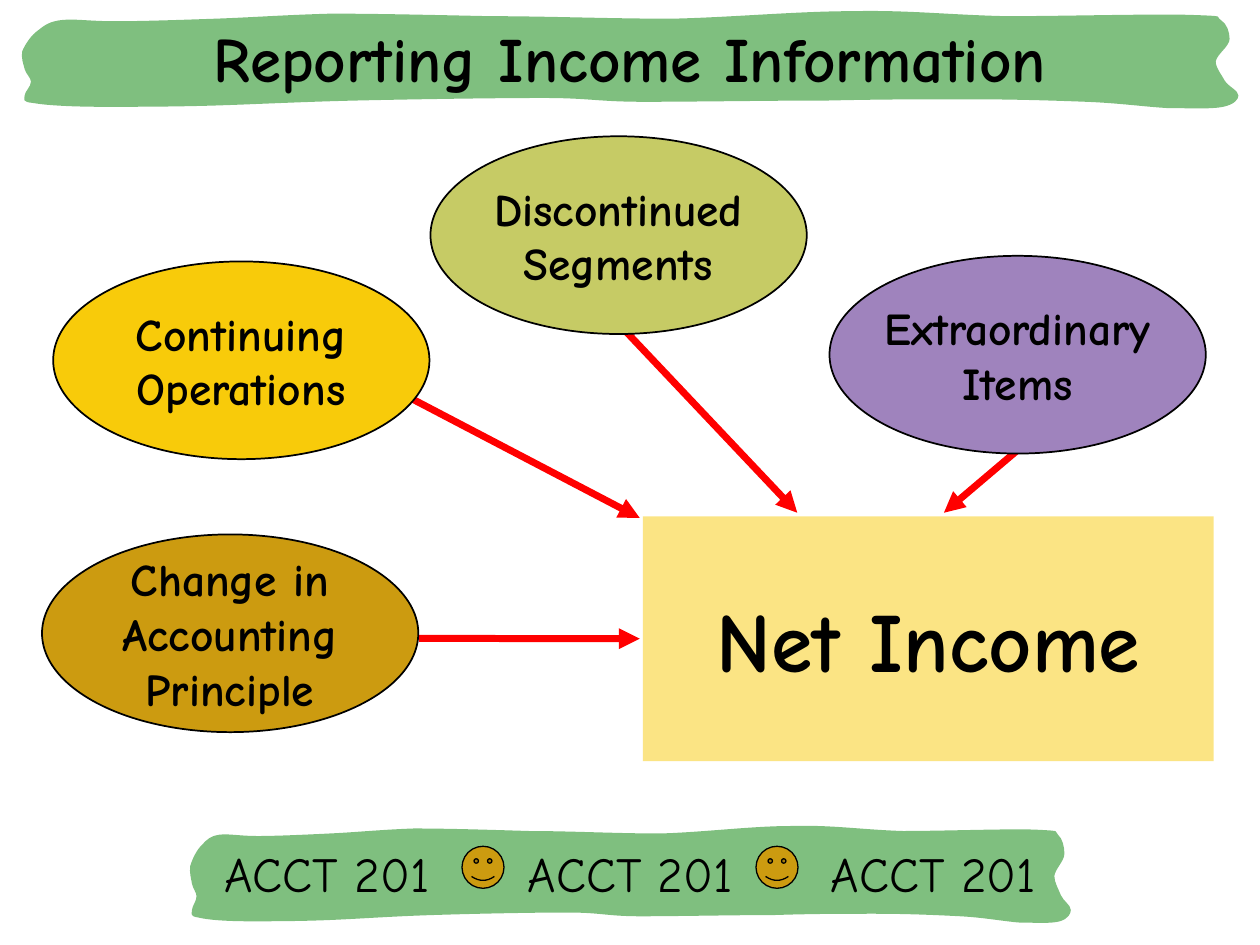
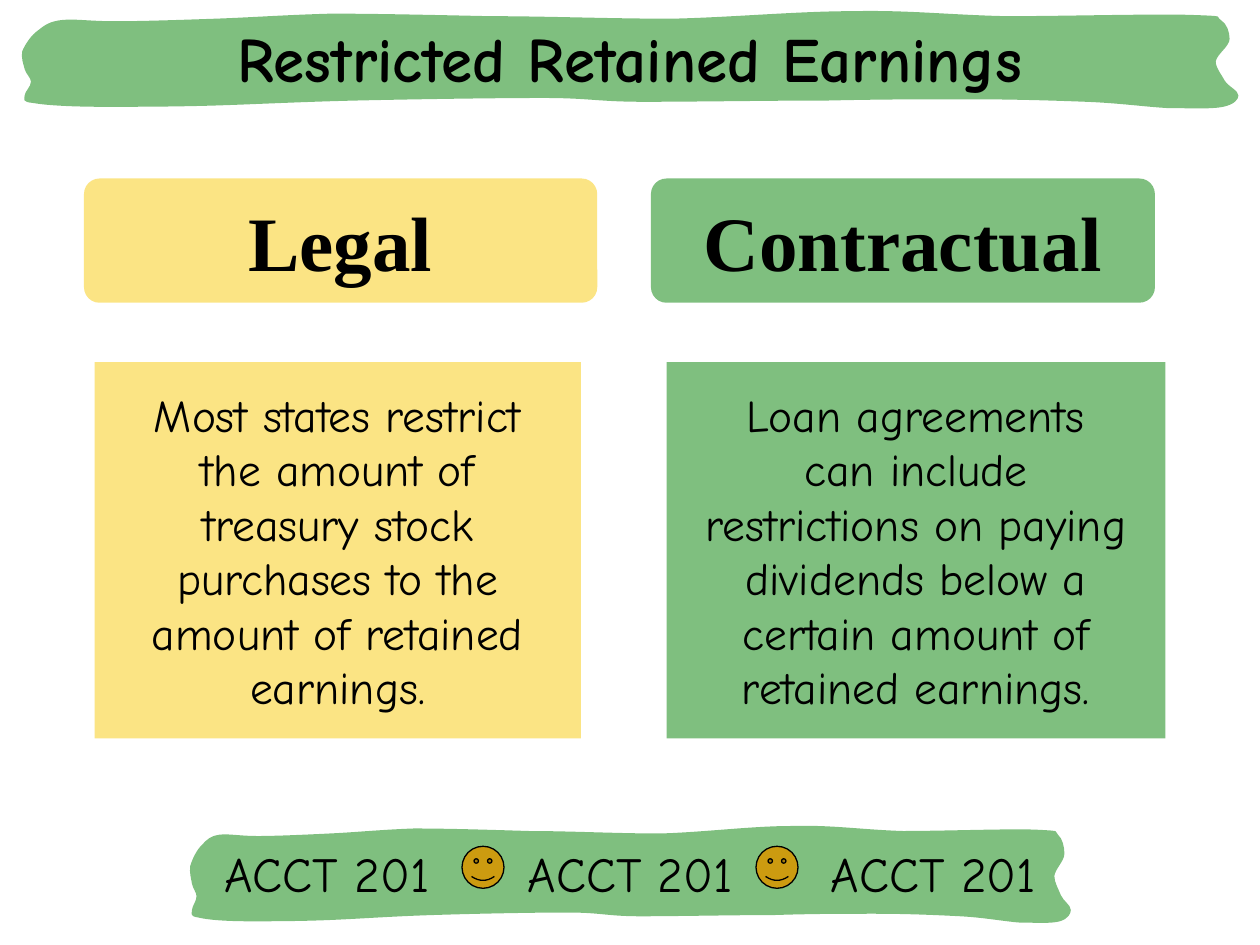
import pptx
import pptx.util
import pptx.dml.color
import pptx.enum.shapes
import pptx.enum.text
import pptx.oxml
import pptx.oxml.ns

Pt = pptx.util.Pt
RGBColor = pptx.dml.color.RGBColor
SHAPE = pptx.enum.shapes.MSO_SHAPE
ALIGN = pptx.enum.text.PP_ALIGN
ANCHOR = pptx.enum.text.MSO_ANCHOR

BLACK = RGBColor(0x00, 0x00, 0x00)
GREEN = RGBColor(0x00, 0x80, 0x00)
YELLOW = RGBColor(0xF8, 0xCB, 0x0A)
OCHRE = RGBColor(0xCC, 0x9B, 0x10)
OLIVE = RGBColor(0xC6, 0xCB, 0x65)
PURPLE = RGBColor(0x9F, 0x83, 0xBD)
RED = RGBColor(0xFF, 0x00, 0x00)

HAND_FONT = "Comic Neue"
SERIF_FONT = "Times New Roman"

TITLES = ["Reporting Income Information", "Restricted Retained Earnings"]
COURSE = "ACCT 201"
COURSE_COUNT = 3

TITLE_BAND = (12.7, 6.4, 695, 55.4)
TITLE_BOX = (28.3, 11.7, 663, 42)
FOOTER_BAND = (108.7, 472, 503.2, 55.2)
FOOTER_BOX = (121.3, 477.9, 480, 42)
COURSE_STEP = 173.2
SMILEY_LEFTS = [264, 432]
SMILEY_TOP = 483.6
SMILEY_SIZE = 24

BAND_START = (769, 79)
BAND_CURVES = [
    (735, 79, 701, 79, 658, 80), (615, 80, 550, 81, 512, 81),
    (474, 81, 469, 78, 431, 78), (393, 78, 327, 79, 284, 80),
    (240, 81, 203, 83, 170, 84), (136, 85, 107, 85, 83, 85),
    (60, 85, 38, 84, 27, 82), (17, 81, 20, 79, 20, 76),
    (20, 73, 25, 69, 25, 65), (25, 62, 21, 59, 20, 55),
    (19, 51, 17, 46, 18, 41), (20, 36, 25, 28, 31, 24),
    (36, 20, 40, 17, 50, 16), (60, 15, 72, 17, 92, 17),
    (112, 17, 143, 16, 171, 15), (200, 14, 226, 12, 263, 11),
    (299, 11, 344, 12, 389, 13), (434, 13, 485, 15, 533, 15),
    (581, 14, 633, 9, 677, 9), (721, 8, 754, 12, 799, 13),
    (844, 13, 918, 11, 946, 12), (975, 13, 964, 13, 969, 16),
    (974, 19, 976, 26, 976, 31), (976, 37, 966, 43, 965, 49),
    (965, 54, 970, 60, 972, 64), (975, 69, 983, 72, 983, 76),
    (983, 79, 980, 83, 971, 85), (961, 87, 945, 86, 927, 86),
    (909, 85, 888, 82, 862, 81), (836, 80, 803, 79, 769, 79),
]

SOURCE_SIZE = (215, 113)
INCOME_SOURCES = [
    (["Continuing", "Operations"], YELLOW, (30.4, 149.4)),
    (["Extraordinary", "Items"], PURPLE, (474, 146.2)),
    (["Discontinued", "Segments"], OLIVE, (246, 77.9)),
    (["Change in", "Accounting", "Principle"], OCHRE, (24, 305.4)),
]
ARROWS = [
    (581.8, 257, 539.4, 293),
    (353.5, 185, 455.6, 293),
    (239.5, 364.8, 365.6, 365),
    (233.3, 226.8, 365.6, 296),
]
NET_INCOME_BOX = (367.4, 295, 326.2, 140)

HEADING_TOP, HEADING_HEIGHT = 102, 71
BODY_TOP, BODY_HEIGHT = 206.9, 215
RESTRICTIONS = [
    {
        "heading": "Legal", "color": YELLOW,
        "heading_span": (48, 293.3), "body_span": (54, 278),
        "body": ["Most states restrict", "the amount of", "treasury stock",
                 "purchases to the", "amount of retained", "earnings."],
    },
    {
        "heading": "Contractual", "color": GREEN,
        "heading_span": (372, 288), "body_span": (381, 285),
        "body": ["Loan agreements", "can include", "restrictions on paying",
                 "dividends below a", "certain amount of", "retained earnings."],
    },
]


def points(values):
    return [Pt(value) for value in values]


def add_element(parent, tag, **attributes):
    element = parent.makeelement(pptx.oxml.ns.qn(tag), attributes)
    parent.append(element)
    return element


def paint(shape, color, opacity=100, line_width=None):
    shape.shadow.inherit = False
    shape.fill.solid()
    shape.fill.fore_color.rgb = color
    if opacity < 100:
        color_element = shape._element.spPr.find(".//" + pptx.oxml.ns.qn("a:srgbClr"))
        add_element(color_element, "a:alpha", val=str(opacity * 1000))
    if line_width is None:
        shape.line.fill.background()
    else:
        shape.line.color.rgb = BLACK
        shape.line.width = Pt(line_width)


def write(shape, lines, size, bold=False, font=HAND_FONT, align=ALIGN.CENTER):
    frame = shape.text_frame
    frame.word_wrap = False
    frame.vertical_anchor = ANCHOR.MIDDLE
    for index, line in enumerate(lines):
        paragraph = frame.paragraphs[0] if index == 0 else frame.add_paragraph()
        paragraph.alignment = align
        run = paragraph.add_run()
        run.text = line
        run.font.size = Pt(size)
        run.font.bold = bold
        run.font.name = font
        run.font.color.rgb = BLACK


def add_filled(slide, kind, box, color, opacity=100, line_width=None):
    shape = slide.shapes.add_shape(kind, *points(box))
    paint(shape, color, opacity, line_width)
    return shape


def add_band(slide, box):
    left, top, width, height = box
    xs, ys = zip(BAND_START, *(curve[4:] for curve in BAND_CURVES))
    x_scale = width / (max(xs) - min(xs))
    y_scale = height / (max(ys) - min(ys))

    def place(x, y):
        return Pt(left + (x - min(xs)) * x_scale), Pt(top + (y - min(ys)) * y_scale)

    builder = slide.shapes.build_freeform(*place(*BAND_START))
    builder.add_line_segments([place(*curve[4:]) for curve in BAND_CURVES], close=True)
    band = builder.convert_to_shape()
    segments = list(band._element.spPr.iter(pptx.oxml.ns.qn("a:lnTo")))
    for segment, curve in zip(segments, BAND_CURVES):
        bezier = segment.makeelement(pptx.oxml.ns.qn("a:cubicBezTo"), {})
        for x, y in zip(curve[::2], curve[1::2]):
            slide_x, slide_y = place(x, y)
            add_element(bezier, "a:pt", x=str(slide_x - band.left), y=str(slide_y - band.top))
        segment.getparent().replace(segment, bezier)
    paint(band, GREEN, 50)


def add_footer(slide):
    add_band(slide, FOOTER_BAND)
    footer = slide.shapes.add_textbox(*points(FOOTER_BOX))
    properties = footer.text_frame.paragraphs[0]._p.get_or_add_pPr()
    tab_list = add_element(properties, "a:tabLst")
    for index in range(1, COURSE_COUNT):
        add_element(tab_list, "a:tab", pos=str(Pt(index * COURSE_STEP)), algn="l")
    write(footer, ["\t".join([COURSE] * COURSE_COUNT)], 28, align=ALIGN.LEFT)
    footer.text_frame.word_wrap = True
    for left in SMILEY_LEFTS:
        add_filled(slide, SHAPE.SMILEY_FACE, (left, SMILEY_TOP, SMILEY_SIZE, SMILEY_SIZE),
                   OCHRE, line_width=0.75)


def add_base_slide(presentation, title):
    slide = presentation.slides.add_slide(presentation.slide_layouts[6])
    add_band(slide, TITLE_BAND)
    write(slide.shapes.add_textbox(*points(TITLE_BOX)), [title], 36, bold=True)
    add_footer(slide)
    return slide


def add_arrow(slide, ends):
    arrow = slide.shapes.add_connector(pptx.enum.shapes.MSO_CONNECTOR.STRAIGHT, *points(ends))
    arrow.line.color.rgb = RED
    arrow.line.width = Pt(4)
    add_element(arrow.line._get_or_add_ln(), "a:tailEnd", type="triangle")
    add_element(arrow._element.spPr, "a:effectLst")


def build_income_slide(presentation):
    slide = add_base_slide(presentation, TITLES[0])
    for ends in ARROWS:
        add_arrow(slide, ends)
    net_income = add_filled(slide, SHAPE.RECTANGLE, NET_INCOME_BOX, YELLOW, 50)
    write(net_income, ["Net Income"], 48, bold=True)
    for lines, color, corner in INCOME_SOURCES:
        ellipse = add_filled(slide, SHAPE.OVAL, corner + SOURCE_SIZE, color, line_width=1)
        write(ellipse, lines, 26, bold=True)


def build_restrictions_slide(presentation):
    slide = add_base_slide(presentation, TITLES[1])
    for restriction in RESTRICTIONS:
        left, width = restriction["heading_span"]
        heading = add_filled(slide, SHAPE.ROUNDED_RECTANGLE,
                             (left, HEADING_TOP, width, HEADING_HEIGHT), restriction["color"], 50)
        heading.adjustments[0] = 0.125
        write(heading, [restriction["heading"]], 44, bold=True, font=SERIF_FONT)
        left, width = restriction["body_span"]
        body = add_filled(slide, SHAPE.RECTANGLE,
                          (left, BODY_TOP, width, BODY_HEIGHT), restriction["color"], 50)
        write(body, restriction["body"], 26)


def main():
    presentation = pptx.Presentation()
    presentation.slide_width = Pt(720)
    presentation.slide_height = Pt(540)
    build_income_slide(presentation)
    build_restrictions_slide(presentation)
    presentation.save("out.pptx")


if __name__ == "__main__":
    main()
